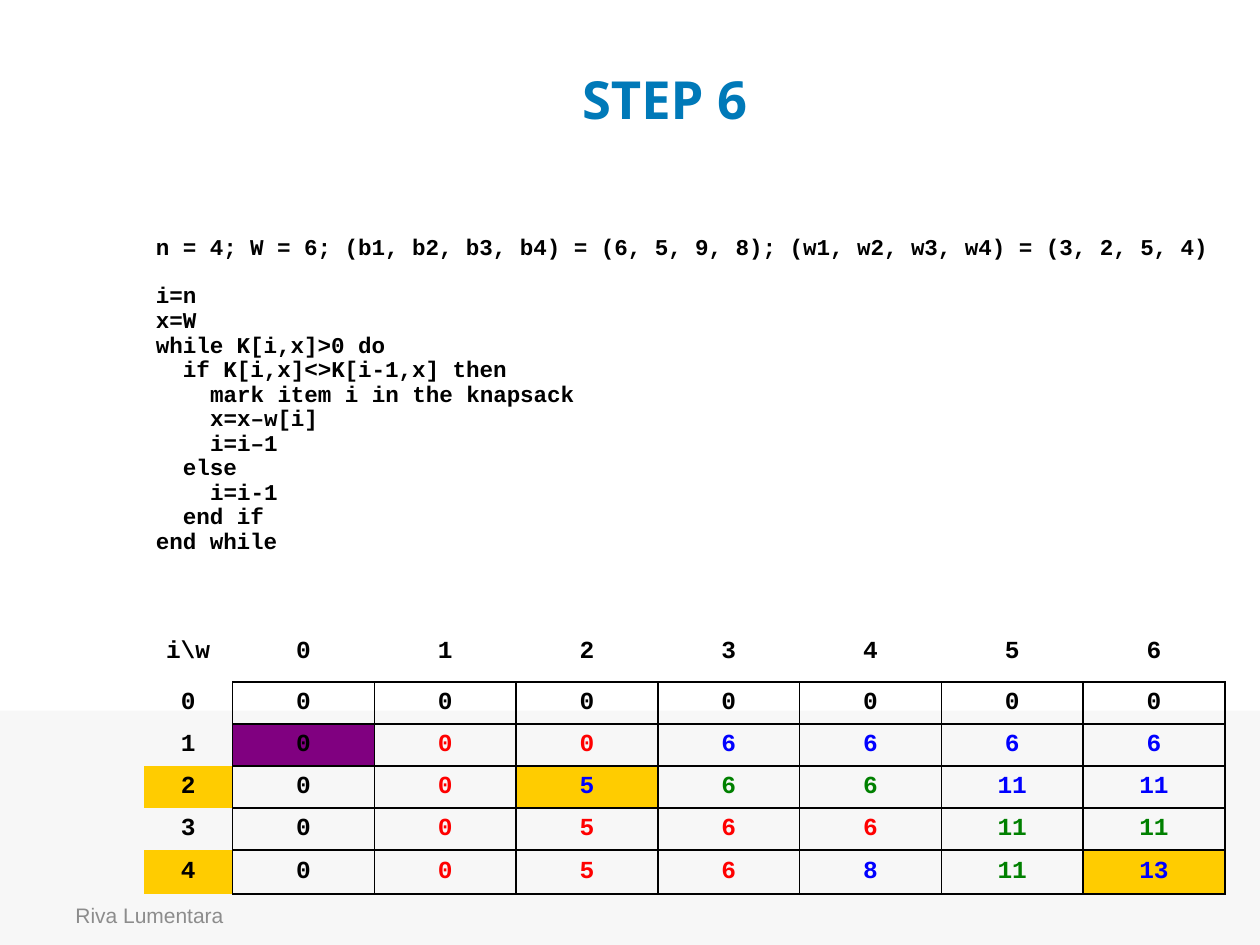
from dataclasses import dataclass

from pptx import Presentation
from pptx.dml.color import RGBColor as Color
from pptx.enum.shapes import MSO_SHAPE as Preset
from pptx.enum.text import MSO_ANCHOR as Anchor, PP_ALIGN as Align
from pptx.oxml.ns import qn
from pptx.util import Pt
from lxml.etree import SubElement


@dataclass(frozen=True)
class Theme:
    band: str = "F7F7F7"
    footer: str = "8C8C8C"
    title: str = "0079B8"
    black: str = "000000"
    red: str = "FF0000"
    blue: str = "0000FF"
    green: str = "008000"
    gold: str = "FFCC00"
    purple: str = "800080"
    sans: str = "Arial"
    heading: str = "Open Sans"
    mono: str = "Courier New"
    footer_size: float = 12
    title_size: float = 30
    code_size: float = 12.9
    cell_size: float = 14


def assign(target, values):
    for name, value in values.items():
        setattr(target, name, value)


class SlideBuilder:
    def __init__(self, slide, theme):
        self.slide = slide
        self.theme = theme

    def span(self, para, text, font, size, color, bold=True):
        span = para.add_run()
        span.text = text
        assign(span.font, {"name": font, "size": Pt(size), "bold": bold})
        span.font.color.rgb = Color.from_string(color)

    def band(self, left, top, width, height):
        band = self.slide.shapes.add_shape(
            Preset.RECTANGLE, Pt(left), Pt(top), Pt(width), Pt(height))
        band.shadow.inherit = False
        band.fill.solid()
        band.fill.fore_color.rgb = Color.from_string(self.theme.band)
        band.line.fill.background()

    def frame(self, left, top, width, height, anchor=Anchor.MIDDLE):
        box = self.slide.shapes.add_textbox(Pt(left), Pt(top), Pt(width), Pt(height))
        assign(box.text_frame, {"word_wrap": True, "vertical_anchor": anchor})
        return box.text_frame

    def label(self, area, text, font, size, color, bold, align):
        para = self.frame(*area).paragraphs[0]
        para.alignment = align
        self.span(para, text, font, size, color, bold)

    def code(self, area, lines, hang=27.4, step=15.5):
        frame = self.frame(*area, anchor=Anchor.TOP)
        for number, (level, gap, text) in enumerate(lines):
            para = frame.add_paragraph() if number else frame.paragraphs[0]
            assign(para, {"line_spacing": 0.7, "space_before": Pt(gap)})
            properties = para._p.get_or_add_pPr()
            properties.set("marL", str(Pt(hang + level * step)))
            properties.set("indent", str(Pt(-hang)))
            self.span(para, text, self.theme.mono, self.theme.code_size, self.theme.black)

    def borders(self, cell, drawn):
        properties = cell._tc.get_or_add_tcPr()
        for edge, visible in drawn.items():
            line = SubElement(properties, qn(f"a:ln{edge}"), w=str(Pt(1)))
            if visible:
                fill = SubElement(line, qn("a:solidFill"))
                SubElement(fill, qn("a:srgbClr"), val=self.theme.black)
            else:
                SubElement(line, qn("a:noFill"))

    def table(self, area, widths, heights, rows, tones, fills):
        left, top = area
        table = self.slide.shapes.add_table(
            len(rows), len(widths), Pt(left), Pt(top),
            Pt(sum(widths)), Pt(sum(heights))).table
        assign(table, {"first_row": False, "horz_banding": False})
        for column, width in zip(table.columns, widths):
            column.width = Pt(width)
        for row, height in zip(table.rows, heights):
            row.height = Pt(height)
        for r, values in enumerate(rows):
            for c, value in enumerate(values):
                cell = table.cell(r, c)
                inside = r > 0 and c > 0
                self.borders(cell, {"L": inside, "R": r > 0, "T": inside, "B": c > 0})
                if (r, c) in fills:
                    cell.fill.solid()
                    cell.fill.fore_color.rgb = Color.from_string(fills[r, c])
                else:
                    cell.fill.background()
                cell.vertical_anchor = Anchor.MIDDLE
                para = cell.text_frame.paragraphs[0]
                para.alignment = Align.CENTER
                self.span(para, str(value), self.theme.mono, self.theme.cell_size,
                          tones[r][c])


def main():
    theme = Theme()
    deck = Presentation()
    assign(deck, {"slide_width": Pt(720), "slide_height": Pt(540)})
    page = SlideBuilder(deck.slides.add_slide(deck.slide_layouts[6]), theme)

    page.band(0, 406, 720, 134)
    page.label((36, 508.3, 168, 28.8), "Riva Lumentara", theme.sans,
               theme.footer_size, theme.footer, False, Align.LEFT)
    page.label((39.6, 33.8, 680.4, 45.4), "STEP 6", theme.heading,
               theme.title_size, theme.title, True, Align.CENTER)

    gap, section_gap = 3.2, 16.7
    page.code((82, 134, 618, 204.5), [
        (0, gap, "n = 4; W = 6; (b1, b2, b3, b4) = (6, 5, 9, 8); "
                 "(w1, w2, w3, w4) = (3, 2, 5, 4)"),
        (0, section_gap, "i=n"),
        (0, gap, "x=W"),
        (0, gap, "while K[i,x]>0 do"),
        (1, gap, "if K[i,x]<>K[i-1,x] then"),
        (2, gap, "mark item i in the knapsack"),
        (2, gap, "x=x–w[i]"),
        (2, gap, "i=i–1"),
        (1, gap, "else"),
        (2, gap, "i=i-1"),
        (1, gap, "end if"),
        (0, gap, "end while"),
    ])

    rows = [
        ["i\\w", *range(7)],
        [0] + [0] * 7,
        [1, 0, 0, 0, 6, 6, 6, 6],
        [2, 0, 0, 5, 6, 6, 11, 11],
        [3, 0, 0, 5, 6, 6, 11, 11],
        [4, 0, 0, 5, 6, 8, 11, 13],
    ]
    palette = {"k": theme.black, "r": theme.red, "b": theme.blue, "g": theme.green}
    codes = ["kkkkkkkk", "kkkkkkkk", "kkrrbbbb", "kkrbggbb", "kkrrrrgg", "kkrrrbgb"]
    tones = [[palette[code] for code in row] for row in codes]
    fills = {(2, 1): theme.purple}
    fills.update(dict.fromkeys([(3, 0), (3, 3), (5, 0), (5, 7)], theme.gold))
    page.table((82, 355), [51] + [81] * 7, [34.6] + [23] * 4 + [25.2],
               rows, tones, fills)

    deck.save("out.pptx")


if __name__ == "__main__":
    main()
